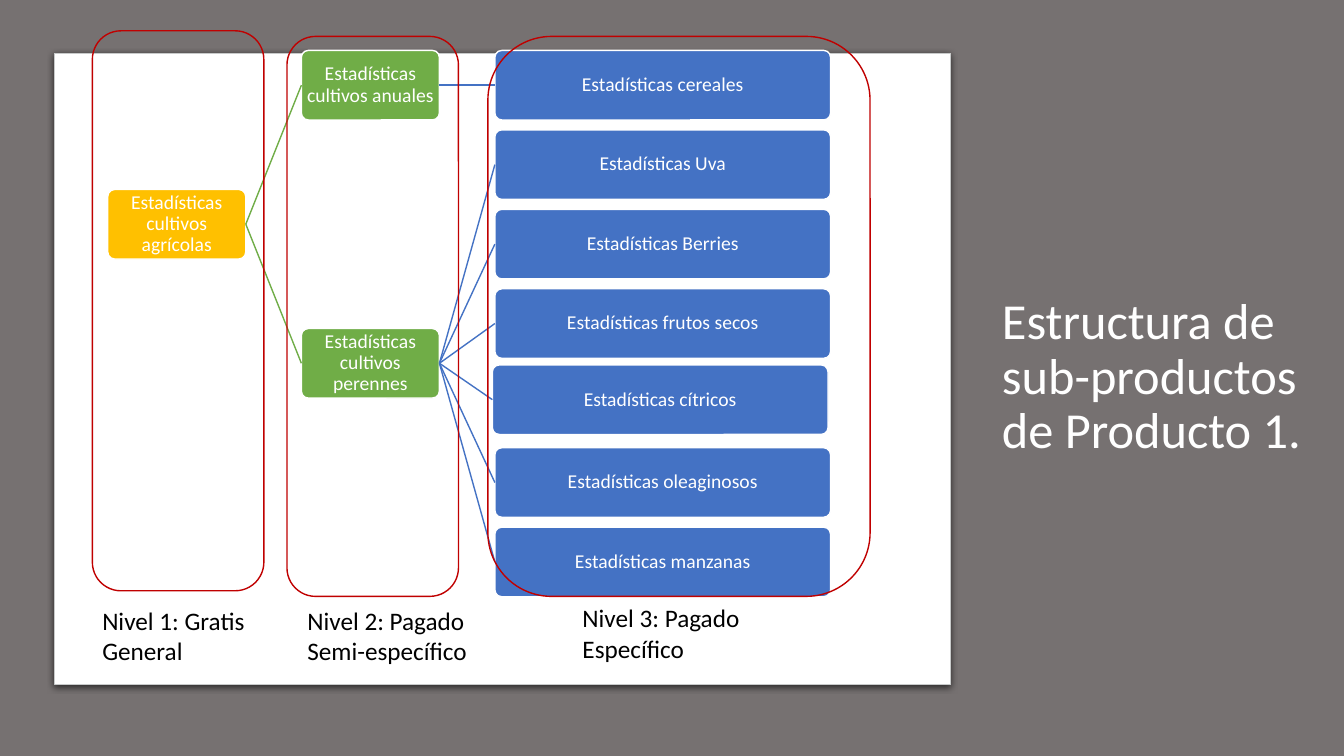
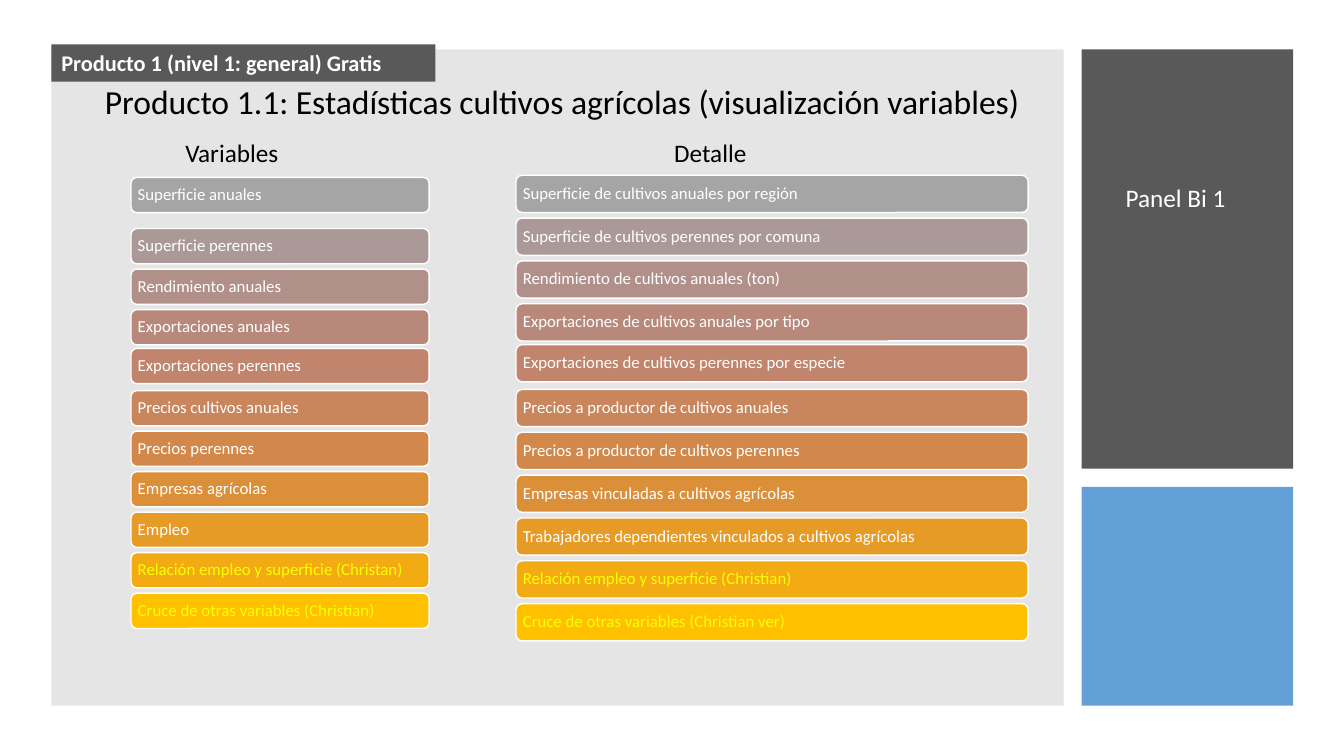
from colorsys import hls_to_rgb

from pptx import Presentation
from pptx.dml.color import RGBColor
from pptx.enum import shapes, text
from pptx.oxml import parse_xml
from pptx.oxml.ns import qn
from pptx.util import Pt

FONT = "Calibri"
WHITE, BLACK, YELLOW = "FFFFFF", "000000", "FFFF00"
STONE, DARK, SKY, RED = "767171", "595959", "5B9BD5", "C00000"
LEVEL_COLORS = ["FFC000", "70AD47", "4472C4"]
RECT, ROUND = shapes.MSO_SHAPE.RECTANGLE, shapes.MSO_SHAPE.ROUNDED_RECTANGLE
LEFT, CENTER = text.PP_ALIGN.LEFT, text.PP_ALIGN.CENTER
TOP, MIDDLE = text.MSO_ANCHOR.TOP, text.MSO_ANCHOR.MIDDLE
A_NS = "http://schemas.openxmlformats.org/drawingml/2006/main"

# Slide 1
TREE = ("Estadísticas cultivos agrícolas", [
    ("Estadísticas cultivos anuales", [("Estadísticas cereales", [])]),
    ("Estadísticas cultivos perennes", [
        ("Estadísticas Uva", []),
        ("Estadísticas Berries", []),
        ("Estadísticas frutos secos", []),
        ("Estadísticas cítricos", []),
        ("Estadísticas oleaginosos", []),
        ("Estadísticas manzanas", []),
    ]),
])
NODE_COLUMNS = [(77, 98.6), (215.3, 98.6), (353.5, 239.8)]  # left, width
NODE_TOP, NODE_PITCH, NODE_H = 36, 56.76, 49.7
NODE_NUDGE = {"Estadísticas cítricos": (-1.8, -2.4)}
LEVELS = [  # frame box, label box, label lines
    ((66, 22, 122.5, 400), (66, 428.5, 122.5, 51), ["Nivel 1: Gratis", "General"]),
    ((205, 26, 122.5, 400), (212.5, 428.5, 135.5, 51), ["Nivel 2: Pagado", "Semi-específico"]),
    ((348.5, 26, 273, 400), (409, 427, 135.5, 51), ["Nivel 3: Pagado", "Específico"]),
]

# Slide 2
PANELS = [  # box, fill, opacity in percent
    ((36.7, 35.3, 723, 468.7), "808080", 20),
    ((772.6, 35.3, 151.2, 299.5), DARK, 100),
    ((772.6, 347.8, 151.2, 156.2), SKY, 95),
]
VARIABLES = [
    "Superficie anuales", "Superficie perennes", "Rendimiento anuales",
    "Exportaciones anuales", "Exportaciones perennes", "Precios cultivos anuales",
    "Precios perennes", "Empresas agrícolas", "Empleo",
    "Relación empleo y superficie (Christan)", "Cruce de otras variables (Christian)",
]
DETAILS = [
    "Superficie de cultivos anuales por región",
    "Superficie de cultivos perennes por comuna",
    "Rendimiento de cultivos anuales (ton)",
    "Exportaciones de cultivos anuales por tipo",
    "Exportaciones de cultivos perennes por especie",
    "Precios a productor de cultivos anuales",
    "Precios a productor de cultivos perennes",
    "Empresas vinculadas a cultivos agrícolas",
    "Trabajadores dependientes vinculados a cultivos agrícolas",
    "Relación empleo y superficie (Christian)",
    "Cruce de otras variables (Christian ver)",
]
PENDING = 2  # last rows, in yellow
BAR_LISTS = [
    dict(head="Variables", head_box=(125.3, 94.3, 149.8, 28.8), rows=VARIABLES,
         left=93.6, top=134.3, width=213, height=25.2, pitch=28.94,
         nudge={0: -7.6, 4: -1.2}),
    dict(head="Detalle", head_box=(474.5, 94.3, 136, 28.8), rows=DETAILS,
         left=368.6, top=125.2, width=365.8, height=26.6, pitch=30.6,
         nudge={4: -1.4}),
]


def rgb(value):
    return RGBColor.from_string(value)


def write(sp, lines, size, color, align=LEFT, anchor=TOP, inset=None, spacing=None, bold=False):
    tf = sp.text_frame
    frame = dict(word_wrap=True, auto_size=text.MSO_AUTO_SIZE.NONE, vertical_anchor=anchor)
    if inset is not None:
        frame.update({f"margin_{side}": Pt(inset) for side in ("left", "top", "right", "bottom")})
    for name, value in frame.items():
        setattr(tf, name, value)
    for i, line in enumerate(lines):
        p = tf.add_paragraph() if i else tf.paragraphs[0]
        p.alignment = align
        if spacing:
            p.line_spacing = spacing
        r = p.add_run()
        r.text = line
        for name, value in dict(name=FONT, size=Pt(size), bold=bold).items():
            setattr(r.font, name, value)
        r.font.color.rgb = rgb(color)


def add_box(slide, box, fill=None, line=None, kind=RECT, weight=1, radius=None, opacity=100):
    sp = slide.shapes.add_shape(kind, *map(Pt, box))
    sp.shadow.inherit = False
    if radius is not None:
        sp.adjustments[0] = radius
    if fill:
        sp.fill.solid()
        sp.fill.fore_color.rgb = rgb(fill)
        if opacity < 100:
            color = sp.fill._xPr.find(qn("a:solidFill"))[0]
            color.append(parse_xml(f'<a:alpha xmlns:a="{A_NS}" val="{opacity * 1000}"/>'))
    else:
        sp.fill.background()
    if line:
        sp.line.color.rgb = rgb(line)
        sp.line.width = Pt(weight)
    else:
        sp.line.fill.background()
    return sp


def add_label(slide, box, lines, color=BLACK):
    write(slide.shapes.add_textbox(*map(Pt, box)), lines, 18, color)


def add_title(slide, box, words, size, color, **style):
    """Place the title placeholder above everything drawn so far."""
    sp = slide.shapes.title
    sp.left, sp.top, sp.width, sp.height = map(Pt, box)
    write(sp, [words], size, color, **style)
    slide.shapes._spTree.append(sp._element)


def add_card(slide):
    card = add_box(slide, (39, 38, 640, 451), WHITE, "C8CACA", weight=0.75)
    effects = card._element.spPr.find(qn("a:effectLst"))
    effects.append(parse_xml(
        f'<a:outerShdw xmlns:a="{A_NS}" blurRad="{Pt(4.5)}" dist="{Pt(1.5)}" dir="5400000">'
        '<a:srgbClr val="000000"><a:alpha val="63000"/></a:srgbClr></a:outerShdw>'))


def add_link(slide, parent, child, color):
    line = slide.shapes.add_connector(shapes.MSO_CONNECTOR.STRAIGHT, 0, 0, 0, 0)
    line.begin_connect(parent, 3)
    line.end_connect(child, 1)
    line.line.color.rgb = rgb(color)
    line.line.width = Pt(1)
    line._element.spPr.append(parse_xml(f'<a:effectLst xmlns:a="{A_NS}"/>'))


def add_tree(slide, node, level=0, first_row=0):
    """Draw a node centred on its children; return its shape, row and leaf count."""
    words, children = node
    kids, row, leaves = [], first_row, 0
    for child in children:
        sp, kid_row, count = add_tree(slide, child, level + 1, first_row + leaves)
        kids.append((sp, kid_row))
        leaves += count
    if kids:
        row = (kids[0][1] + kids[-1][1]) / 2
    left, width = NODE_COLUMNS[level]
    dx, dy = NODE_NUDGE.get(words, (0, 0))
    box = (left + dx, NODE_TOP + row * NODE_PITCH + dy, width, NODE_H)
    sp = add_box(slide, box, LEVEL_COLORS[level], WHITE, ROUND, radius=0.1)
    write(sp, [words], 14, WHITE, CENTER, MIDDLE, inset=0.75, spacing=0.9)
    for kid, _ in kids:
        add_link(slide, sp, kid, LEVEL_COLORS[level + 1])
    return sp, row, max(leaves, 1)


def ramp(t):
    """Grey at t = 0 to amber at t = 1."""
    channels = hls_to_rgb(0.1255 * t, 0.647 - 0.147 * t, t)
    return "".join(f"{round(c * 255):02X}" for c in channels)


def add_bars(slide, head, head_box, rows, left, top, width, height, pitch, nudge):
    add_label(slide, head_box, [head])
    last = len(rows) - 1
    for i, row in enumerate(rows):
        y = top + i * pitch + nudge.get(i, 0)
        sp = add_box(slide, (left, y, width, height), ramp(i / last), WHITE, ROUND)
        color = YELLOW if i > last - PENDING else WHITE
        write(sp, [row], 12, color, anchor=MIDDLE, inset=3.6, spacing=0.9)


def new_slide(prs, background):
    slide = prs.slides.add_slide(prs.slide_layouts[5])
    slide.background.fill.solid()
    slide.background.fill.fore_color.rgb = rgb(background)
    return slide


def build_structure(prs):
    slide = new_slide(prs, STONE)
    add_title(slide, (708.5, 81.4, 232.6, 377.3), "Estructura de sub-productos de Producto 1.",
              36, WHITE, anchor=MIDDLE, spacing=0.9)
    add_card(slide)
    add_tree(slide, TREE)
    for frame, label_box, lines in LEVELS:
        add_box(slide, frame, line=RED, kind=ROUND)
        add_label(slide, label_box, lines)


def build_variables(prs):
    slide = new_slide(prs, WHITE)
    for box, fill, opacity in PANELS:
        add_box(slide, box, fill, opacity=opacity)
    add_title(slide, (67.7, 54, 686.2, 36),
              "Producto 1.1: Estadísticas cultivos agrícolas (visualización variables)", 24, BLACK)
    for bars in BAR_LISTS:
        add_bars(slide, **bars)
    band = add_box(slide, (36.7, 31.7, 274.3, 26.6), DARK)
    write(band, ["Producto 1 (nivel 1: general) Gratis"], 16, WHITE, bold=True)
    add_label(slide, (797, 126.7, 108, 28.8), ["Panel Bi 1"], WHITE)


def main():
    prs = Presentation()
    prs.slide_width, prs.slide_height = Pt(960), Pt(540)
    build_structure(prs)
    build_variables(prs)
    prs.save("out.pptx")


if __name__ == "__main__":
    main()
